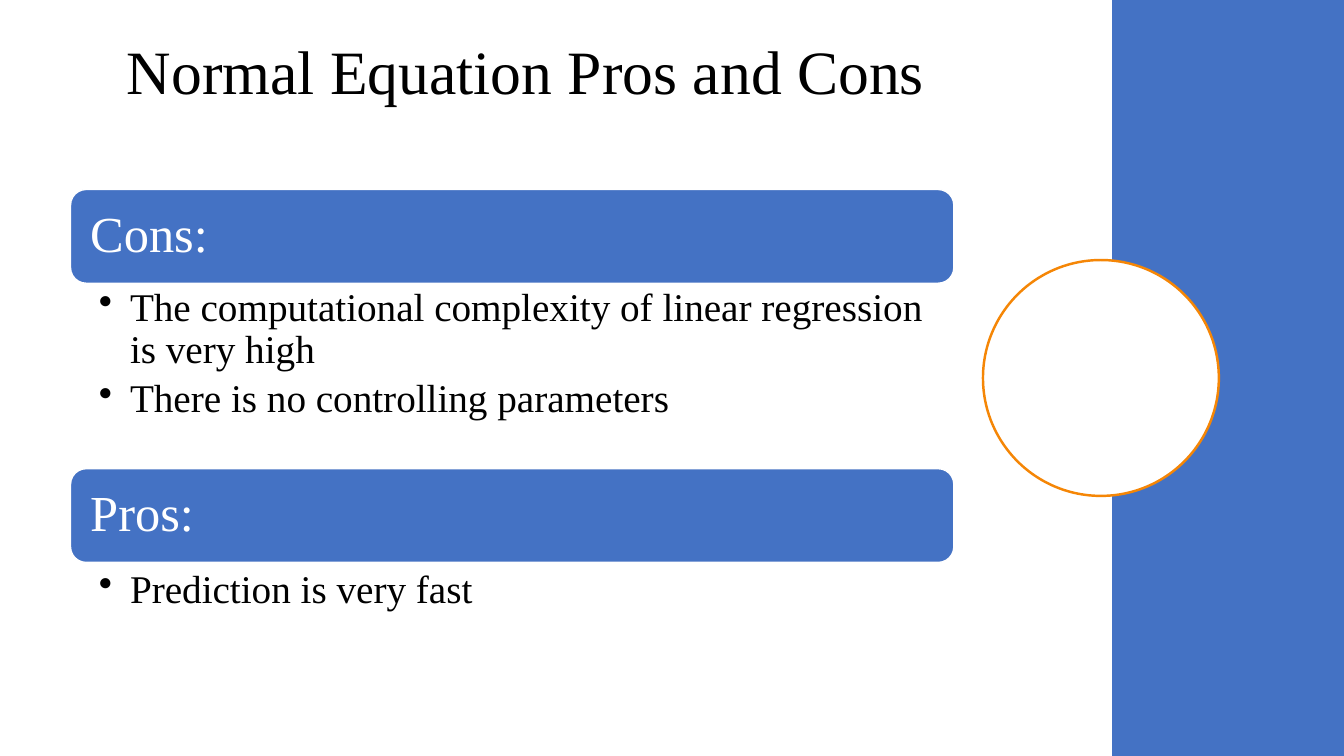
from dataclasses import dataclass

from pptx import Presentation
from pptx.dml.color import RGBColor
from pptx.enum.shapes import MSO_SHAPE
from pptx.enum.text import MSO_ANCHOR, PP_ALIGN
from pptx.oxml.ns import qn
from pptx.shapes.autoshape import Shape
from pptx.slide import Slide
from pptx.text.text import TextFrame
from pptx.util import Emu, Inches, Pt
from lxml import etree

RECTANGLE = MSO_SHAPE.RECTANGLE
ROUNDED = MSO_SHAPE.ROUNDED_RECTANGLE
ELLIPSE = MSO_SHAPE.OVAL
LEFT = PP_ALIGN.LEFT
TOP = MSO_ANCHOR.TOP
MIDDLE = MSO_ANCHOR.MIDDLE

SLIDE_WIDTH = Inches(13.33)
SLIDE_HEIGHT = Inches(7.5)
GRID_STEPS = 100
BULLET_INDENT = Inches(0.31)
LINE_SPACING = 0.9


@dataclass(frozen=True)
class Theme:
    font: str = "Times New Roman"
    blue: RGBColor = RGBColor(0x44, 0x72, 0xC4)
    orange: RGBColor = RGBColor(0xF5, 0x86, 0x06)
    white: RGBColor = RGBColor(0xFF, 0xFF, 0xFF)
    black: RGBColor = RGBColor(0, 0, 0)
    title_size: float = 44
    heading_size: float = 36
    body_size: float = 28
    ring_width: float = 1.75
    edge_width: float = 1


@dataclass(frozen=True)
class Area:
    column: float
    row: float
    columns: float
    rows: float

    def bounds(self) -> tuple[Emu, Emu, Emu, Emu]:
        return (
            Emu(round(SLIDE_WIDTH * self.column / GRID_STEPS)),
            Emu(round(SLIDE_HEIGHT * self.row / GRID_STEPS)),
            Emu(round(SLIDE_WIDTH * self.columns / GRID_STEPS)),
            Emu(round(SLIDE_HEIGHT * self.rows / GRID_STEPS)),
        )


@dataclass(frozen=True)
class Section:
    heading: str
    points: tuple[str, ...]
    row: float
    body_gap: float
    body_rows: float


THEME = Theme()
TITLE_AREA = Area(8.7, 1.87, 72.32, 16)
PANEL_AREA = Area(82.75, 0, 17.25, 100)
CIRCLE_AREA = Area(73.14, 34.4, 17.55, 31.2)
SECTION_COLUMN = 5.25
SECTION_COLUMNS = 65.72
HEADING_ROWS = 12.4

SECTIONS = (
    Section(
        "Cons:",
        (
            "The computational complexity of linear regression is very high",
            "There is no controlling parameters",
        ),
        25.07, 0, 25.07,
    ),
    Section("Pros:", ("Prediction is very fast",), 62, 0.4, 15.73),
)


def draw_shape(page: Slide, kind: MSO_SHAPE, area: Area, fill: RGBColor,
               line: RGBColor | None = None, width: float = 0) -> Shape:
    shape = page.shapes.add_shape(kind, *area.bounds())
    shape.shadow.inherit = False
    shape.fill.solid()
    shape.fill.fore_color.rgb = fill
    if line is None:
        shape.line.fill.background()
    else:
        shape.line.color.rgb = line
        shape.line.width = Pt(width)
    return shape


def set_text(frame: TextFrame, text: str, size: float, color: RGBColor,
             anchor: MSO_ANCHOR, left: float, top: float, right: float) -> None:
    frame.text = text
    frame.word_wrap = True
    frame.vertical_anchor = anchor
    frame.margin_left = Inches(left)
    frame.margin_right = Inches(right)
    frame.margin_top = frame.margin_bottom = Inches(top)
    for para in frame.paragraphs:
        para.alignment = LEFT
        para.line_spacing = LINE_SPACING
        for span in para.runs:
            span.font.name = THEME.font
            span.font.size = Pt(size)
            span.font.color.rgb = color


def add_bullets(frame: TextFrame) -> None:
    for para in frame.paragraphs:
        para.space_after = Pt(5)
        properties = para._p.get_or_add_pPr()
        properties.set("marL", str(BULLET_INDENT))
        properties.set("indent", str(-BULLET_INDENT))
        etree.SubElement(properties, qn("a:buChar")).set("char", "•")


def draw_title(page: Slide) -> None:
    box = page.shapes.add_textbox(*TITLE_AREA.bounds())
    set_text(box.text_frame, "Normal Equation Pros and Cons", THEME.title_size,
             THEME.black, MIDDLE, 0.1, 0.05, 0.1)


def draw_section(page: Slide, section: Section) -> None:
    heading_area = Area(SECTION_COLUMN, section.row, SECTION_COLUMNS, HEADING_ROWS)
    heading = draw_shape(page, ROUNDED, heading_area, THEME.blue,
                         THEME.white, THEME.edge_width)
    set_text(heading.text_frame, section.heading, THEME.heading_size,
             THEME.white, MIDDLE, 0.15, 0.15, 0.15)
    body_row = section.row + HEADING_ROWS + section.body_gap
    body_area = Area(SECTION_COLUMN, body_row, SECTION_COLUMNS, section.body_rows)
    body = page.shapes.add_textbox(*body_area.bounds())
    set_text(body.text_frame, "\n".join(section.points), THEME.body_size,
             THEME.black, TOP, 0.28, 0.04, 0.22)
    add_bullets(body.text_frame)


def main() -> None:
    deck = Presentation()
    deck.slide_width = SLIDE_WIDTH
    deck.slide_height = SLIDE_HEIGHT
    page = deck.slides.add_slide(deck.slide_layouts[6])
    draw_shape(page, RECTANGLE, PANEL_AREA, THEME.blue)
    draw_shape(page, ELLIPSE, CIRCLE_AREA, THEME.white, THEME.orange, THEME.ring_width)
    draw_title(page)
    for section in SECTIONS:
        draw_section(page, section)
    deck.save("out.pptx")


if __name__ == "__main__":
    main()
